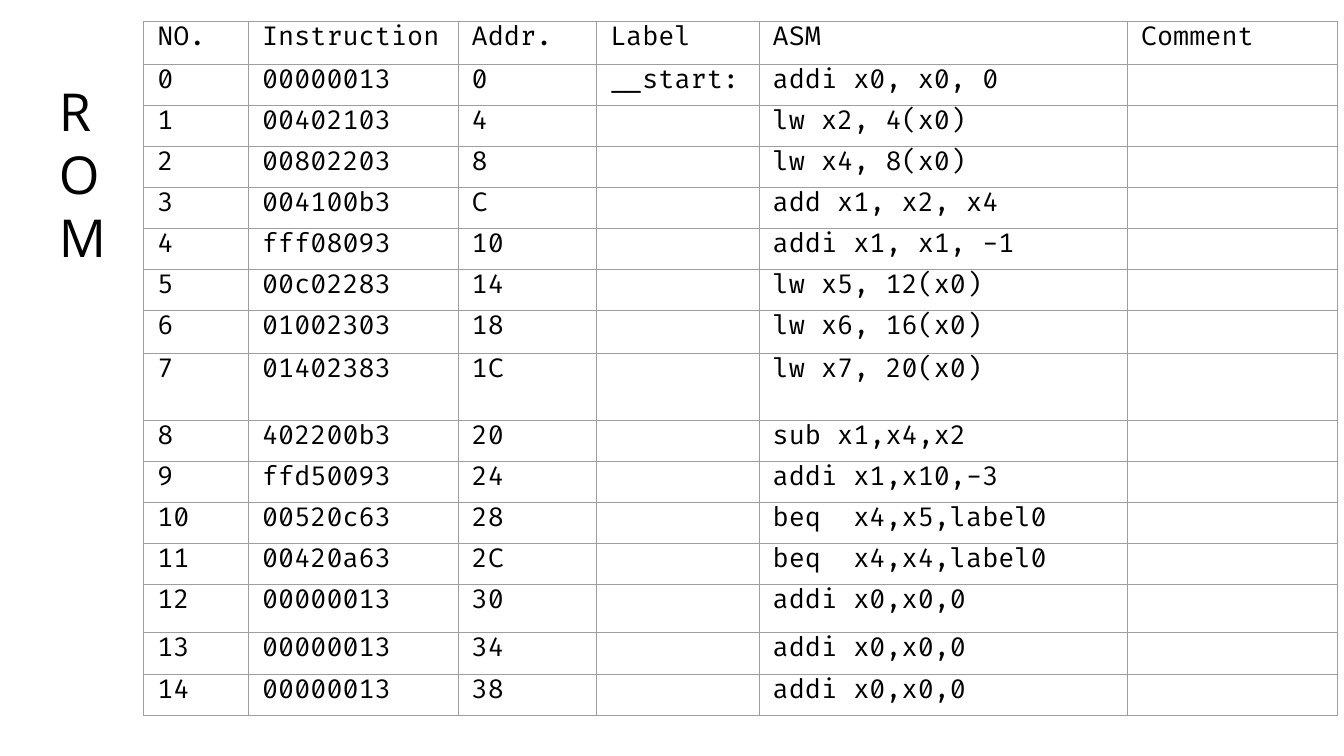
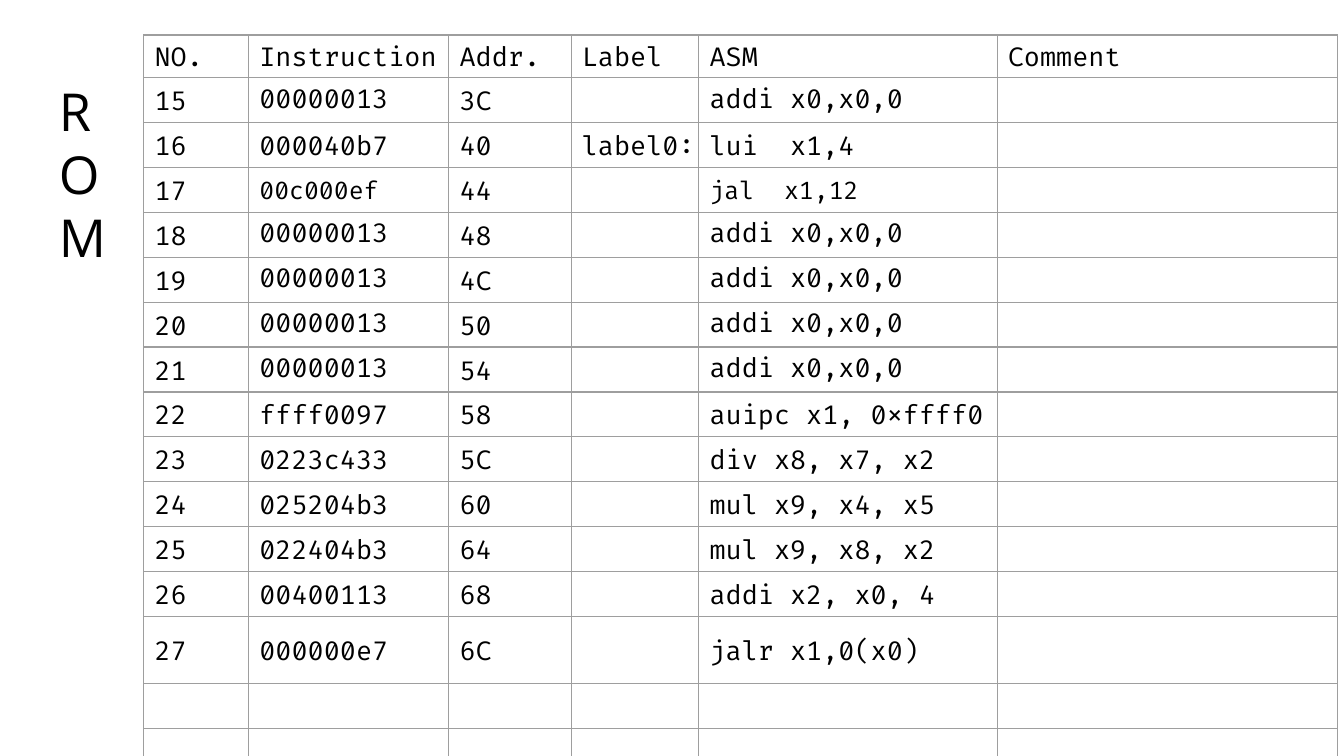
from dataclasses import dataclass

from lxml import etree
from pptx import Presentation
from pptx.dml.color import RGBColor
from pptx.enum.text import MSO_ANCHOR
from pptx.oxml.ns import qn
from pptx.util import Inches, Pt

TOP, MIDDLE = MSO_ANCHOR.TOP, MSO_ANCHOR.MIDDLE


@dataclass(frozen=True)
class Theme:
    ink: str = "000000"
    rule: str = "9E9E9E"
    rule_size: float = 0.75
    head: str = "Open Sans"
    code: str = "Fira Code"
    head_size: int = 28
    code_size: int = 14
    small_size: int = 13
    gap: int = 12
    blank_line: float = 16.25


@dataclass(frozen=True)
class Grid:
    """Look of one table: place, sizes, cell margins (left, top, right, bottom)."""
    top: float
    cols: tuple
    rows: tuple
    pad: tuple
    blank_pad: tuple
    anchor: object
    lead: float


THEME = Theme()
WIDTH = 10
HEIGHT = WIDTH * 9 / 16
LEFT = 1.07
NOP = "00000013"
HEADS = ("NO.", "Instruction", "Addr.", "Label", "ASM", "Comment")
CODE_COLS = (1, 4)
SMALL_ROWS = (17,)

FIRST = [
    (NOP, "__start:", "addi x0, x0, 0"),
    ("00402103", "", "lw x2, 4(x0)"),
    ("00802203", "", "lw x4, 8(x0)"),
    ("004100b3", "", "add x1, x2, x4"),
    ("fff08093", "", "addi x1, x1, -1"),
    ("00c02283", "", "lw x5, 12(x0)"),
    ("01002303", "", "lw x6, 16(x0)"),
    ("01402383", "", "lw x7, 20(x0)"),
    ("402200b3", "", "sub x1,x4,x2"),
    ("ffd50093", "", "addi x1,x10,-3"),
    ("00520c63", "", "beq  x4,x5,label0"),
    ("00420a63", "", "beq  x4,x4,label0"),
    *[(NOP, "", "addi x0,x0,0")] * 3,
]
SECOND = [
    (NOP, "", "addi x0,x0,0"),
    ("000040b7", "label0:", "lui  x1,4"),
    ("00c000ef", "", "jal  x1,12"),
    *[(NOP, "", "addi x0,x0,0")] * 4,
    ("ffff0097", "", "auipc x1, 0xffff0"),
    ("0223c433", "", "div x8, x7, x2"),
    ("025204b3", "", "mul x9, x4, x5"),
    ("022404b3", "", "mul x9, x8, x2"),
    ("00400113", "", "addi x2, x0, 4"),
    ("000000e7", "", "jalr x1,0(x0)"),
]

ROW = 0.61 / 2
FIRST_GRID = Grid(
    top=0.16,
    cols=(0.78, 1.56, 1.03, 1.21, 2.74, 1.56),
    rows=(0.32, *[ROW] * 6, 0.32, 0.5, *[ROW] * 4, 0.36, 0.31, 0.31),
    pad=(0.1, 0, 0.1, 0),
    blank_pad=(0.1, 0, 0.1, 0),
    anchor=TOP,
    lead=1.0,
)
SECOND_GRID = Grid(
    top=0.26,
    cols=(0.78, 1.49, 0.91, 0.95, 2.22, 2.53),
    rows=(0.32, *[0.31] * 6, 0.32, 0.29, *[0.31] * 4, 0.5, 0.31, 0.31),
    pad=(0.08, 0, 0, 0),
    blank_pad=(0.08, 0.05, 0, 0.05),
    anchor=MIDDLE,
    lead=1.15,
)


def add_run(para, text, font, size):
    run = para.add_run()
    run.text = text
    run.font.name = font
    run.font.size = Pt(size)
    run.font.color.rgb = RGBColor.from_string(THEME.ink)


def set_pad(item, pad):
    sides = ("margin_left", "margin_top", "margin_right", "margin_bottom")
    for side, size in zip(sides, pad):
        setattr(item, side, Inches(size))


def add_title(slide, text):
    """Title in a box so narrow that each letter takes its own line."""
    box = slide.shapes.add_textbox(
        Inches(0.34), Inches(0.49), Inches(0.65), Inches(1.77))
    frame = box.text_frame
    frame.word_wrap = True
    frame.vertical_anchor = TOP
    set_pad(frame, (0.1, 0.1, 0.1, 0.1))
    add_run(frame.paragraphs[0], text, THEME.head, THEME.head_size)


def add_rules(cell):
    props = cell._tc.get_or_add_tcPr()
    for i, tag in enumerate(("a:lnL", "a:lnR", "a:lnT", "a:lnB")):
        line = etree.Element(qn(tag), w=str(Pt(THEME.rule_size)))
        fill = etree.SubElement(line, qn("a:solidFill"))
        etree.SubElement(fill, qn("a:srgbClr"), val=THEME.rule)
        props.insert(i, line)


def set_blank(para):
    """Give an empty paragraph a fixed line, so its row keeps its height."""
    para.line_spacing = Pt(THEME.blank_line)
    end = etree.SubElement(
        para._p, qn("a:endParaRPr"), sz=str(THEME.code_size * 100))
    etree.SubElement(end, qn("a:latin"), typeface=THEME.code)


def fill_cell(cell, text, size, lead, grid):
    cell.fill.background()
    add_rules(cell)
    cell.vertical_anchor = grid.anchor
    set_pad(cell, grid.pad if text else grid.blank_pad)
    para = cell.text_frame.paragraphs[0]
    if not text:
        set_blank(para)
        return
    para.space_before = para.space_after = Pt(THEME.gap)
    if lead != 1:
        para.line_spacing = lead
    add_run(para, text, THEME.code, size)


def add_listing(slide, grid, start, code):
    """Table of instructions; each address is four times its number."""
    lines = [HEADS]
    for no, (word, label, asm) in enumerate(code, start):
        lines.append((str(no), word, f"{4 * no:X}", label, asm, ""))
    lines += [("",) * len(HEADS)] * (len(grid.rows) - len(lines))

    table = slide.shapes.add_table(
        len(grid.rows), len(grid.cols), Inches(LEFT), Inches(grid.top),
        Inches(sum(grid.cols)), Inches(sum(grid.rows))).table
    table.first_row = table.horz_banding = False
    for col, width in zip(table.columns, grid.cols):
        col.width = Inches(width)
    for row, height in zip(table.rows, grid.rows):
        row.height = Inches(height)

    for r, line in enumerate(lines):
        for c, text in enumerate(line):
            in_code = c in CODE_COLS
            small = in_code and r + start - 1 in SMALL_ROWS
            size = THEME.small_size if small else THEME.code_size
            lead = 1 if in_code and line[1] == NOP else grid.lead
            fill_cell(table.cell(r, c), text, size, lead, grid)


def main():
    deck = Presentation()
    deck.slide_width, deck.slide_height = Inches(WIDTH), Inches(HEIGHT)
    start = 0
    for grid, code in ((FIRST_GRID, FIRST), (SECOND_GRID, SECOND)):
        slide = deck.slides.add_slide(deck.slide_layouts[6])
        add_title(slide, "ROM")
        add_listing(slide, grid, start, code)
        start += len(code)
    deck.save("out.pptx")


if __name__ == "__main__":
    main()
